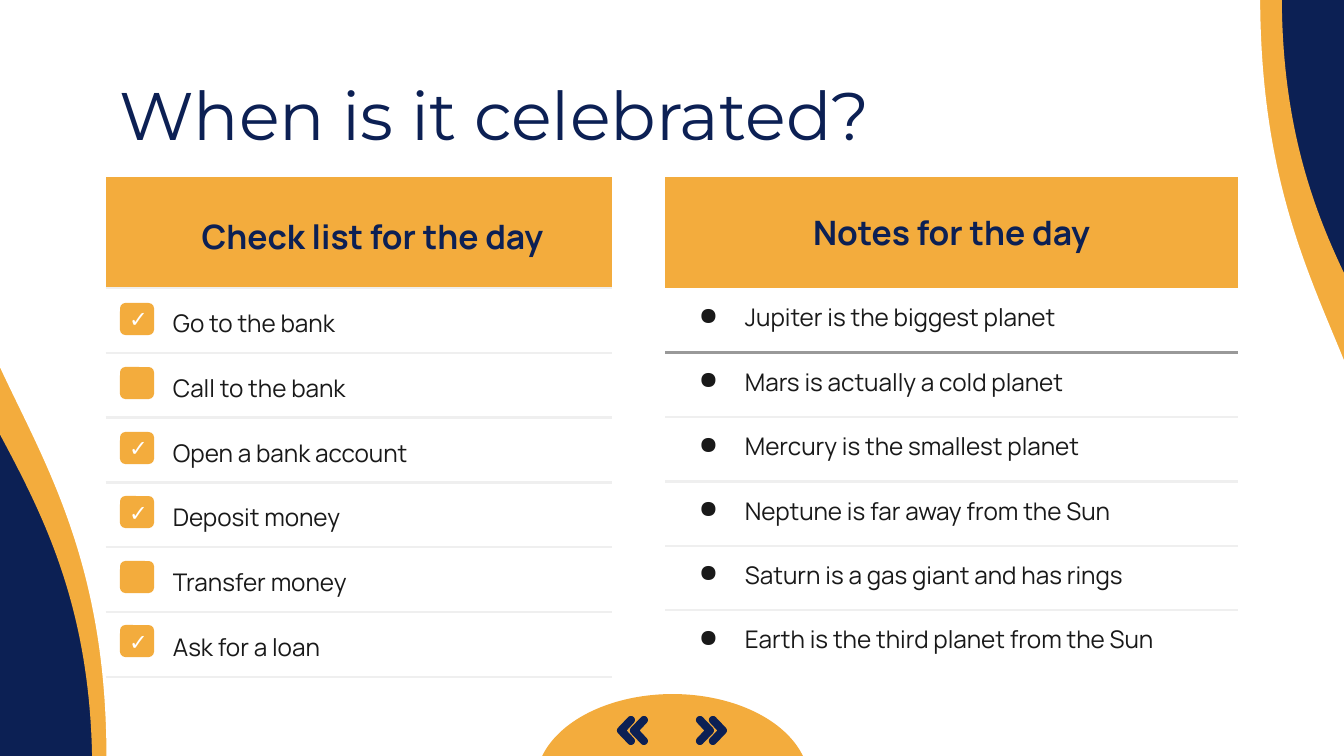
from math import cos, radians, sin

from lxml import etree
from pptx import Presentation
from pptx.dml.color import RGBColor
from pptx.enum.shapes import MSO_SHAPE
from pptx.enum.text import MSO_ANCHOR, MSO_AUTO_SIZE, PP_ALIGN
from pptx.oxml.ns import qn
from pptx.util import Pt

WAVE = MSO_SHAPE.FLOWCHART_DOCUMENT
ROUND = MSO_SHAPE.ROUNDED_RECTANGLE
PIE = MSO_SHAPE.PIE
MIDDLE, TOP = MSO_ANCHOR.MIDDLE, MSO_ANCHOR.TOP
LEFT, CENTER = PP_ALIGN.LEFT, PP_ALIGN.CENTER
NO_FIT = MSO_AUTO_SIZE.NONE

SCALE = 6803.57  # EMU per px
WIDE, HIGH = 1344, 756
PLAIN = "{2D5ABB26-0587-4C30-8999-92F81FD0307C}"  # table style without grid
COLORS = {"navy": "0C2054", "gold": "F3AC3D", "white": "FFFFFF",
          "ink": "191919", "pale": "EFEFEF", "gray": "999999"}


def emu(px):
    return round(px * SCALE)


def rgb(name):
    return RGBColor.from_string(COLORS[name])


class Deck:
    """Holds the style and the current slide."""

    def __init__(self):
        self.prs = Presentation()
        self.prs.slide_width, self.prs.slide_height = emu(WIDE), emu(HIGH)
        self.slide = self.prs.slides.add_slide(self.prs.slide_layouts[5])
        self.shapes = self.slide.shapes
        fill = self.slide.background.fill
        fill.solid()
        fill.fore_color.rgb = rgb("navy")

    def paint(self, shape, color):
        shape.shadow.inherit = False
        shape.fill.solid()
        shape.fill.fore_color.rgb = rgb(color)
        shape.line.fill.background()

    def shape(self, kind, box, color, turn=0):
        item = self.shapes.add_shape(kind, *map(emu, box))
        item.rotation = turn
        self.paint(item, color)
        return item

    def style(self, para, size, color, font, bold=False):
        for run in para.runs:
            run.font.size, run.font.name = Pt(size), font
            run.font.bold = bold
            run.font.color.rgb = rgb(color)

    def fit(self, item, pad):
        """Middle anchor, equal insets and no automatic sizing."""
        frame = item.text_frame
        frame.word_wrap, frame.auto_size = True, NO_FIT
        frame.vertical_anchor = MIDDLE
        frame.margin_left = frame.margin_right = emu(pad)
        frame.margin_top = frame.margin_bottom = emu(pad)
        return frame

    def title(self, text, box):
        item = self.shapes.title
        item.left, item.top, item.width, item.height = map(emu, box)
        frame = self.fit(item, 13)
        frame.text = text
        frame.paragraphs[0].alignment = LEFT
        self.style(frame.paragraphs[0], 36, "navy", "Montserrat")
        self.shapes._spTree.append(item._element)  # above the waves

    def tick(self, box):
        frame = self.fit(self.shapes.add_textbox(*map(emu, box)), 13)
        frame.text = "✓"
        self.style(frame.paragraphs[0], 12, "white", "Arial")

    def border(self, cell, side, color):
        line = etree.Element(qn("a:ln" + side), w=str(Pt(1.5)))
        fill = etree.SubElement(line, qn("a:solidFill"))
        etree.SubElement(fill, qn("a:srgbClr"), val=COLORS[color])
        cell._tc.get_or_add_tcPr().insert(0, line)

    def table(self, box, texts, cols, head, pads, lines, anchor, space=None,
              indent=(0, 0), bullet=None):
        """lines[i] is the color of the rule under row i, or None."""
        left, top, width, height = map(emu, box)
        count = len(texts)
        frame = self.shapes.add_table(count, cols, left, top, width, height)
        grid = frame.table
        grid.first_row = grid.horz_banding = False
        grid._tbl.tblPr.find(qn("a:tableStyleId")).text = PLAIN
        for col in grid.columns:
            col.width = width // cols
        for i, text in enumerate(texts):
            row = grid.rows[i]
            row.height = emu(head) if i == 0 else (height - emu(head)) // (count - 1)
            for cell in row.cells:
                if i:
                    cell.fill.background()
                else:
                    cell.fill.solid()
                    cell.fill.fore_color.rgb = rgb("gold")
                if lines[i]:
                    self.border(cell, "B", lines[i])
                if i and lines[i - 1]:
                    self.border(cell, "T", lines[i - 1])
            cell = grid.cell(i, 0)
            if cols > 1:
                cell.merge(grid.cell(i, cols - 1))
            cell.margin_left, cell.margin_top, cell.margin_right, cell.margin_bottom = map(emu, pads)
            cell.vertical_anchor = anchor if i else MIDDLE
            cell.text = text
            para = cell.text_frame.paragraphs[0]
            para.line_spacing = space
            if i:
                props = para._p.get_or_add_pPr()
                props.set("marL", str(emu(indent[0])))
                props.set("indent", str(emu(indent[1])))
                if bullet:
                    tint = etree.SubElement(props, qn("a:buClr"))
                    etree.SubElement(tint, qn("a:srgbClr"), val=COLORS["ink"])
                    etree.SubElement(props, qn("a:buChar"), char=bullet)
                self.style(para, 13, "ink", "Manrope")
            else:
                para.alignment = CENTER
                self.style(para, 18, "navy", "Manrope", True)

    def arrows(self, lefts, top, flip=False):
        """A group of round-ended chevrons; flip mirrors it on the slide."""
        group = self.shapes.add_group_shape()
        # Center and angle range of each round corner, then the inner notch
        arcs = ((4, 4, 135, 315), (14, 14.5, -45, 45), (4, 25, 45, 225))
        for left in lefts:
            dots = [(x + 4 * cos(radians(a)), y + 4 * sin(radians(a)))
                    for x, y, start, end in arcs
                    for a in range(start, end + 1, 15)]
            dots.append((8.34, 14.5))
            dots = [(emu(WIDE - left - x if flip else left + x), emu(top + y))
                    for x, y in dots]
            path = group.shapes.build_freeform(*dots[0], scale=1.0)
            path.add_line_segments(dots[1:], close=True)
            self.paint(path.convert_to_shape(), "navy")


def main():
    deck = Deck()

    # Waves at both sides
    deck.shape(WAVE, (-23, -51, 763, 882), "gold", 90)
    deck.shape(WAVE, (634, -65, 763, 882), "gold", 270)
    deck.shape(WAVE, (671, 32, 763, 688), "white", 270)
    deck.shape(WAVE, (-38, -55, 792, 833), "white", 90)

    deck.title("When is it celebrated?", (106, 78, 1133, 71))

    # Check list
    tasks = {"Go to the bank": True, "Call to the bank": False,
             "Open a bank account": True, "Deposit money": True,
             "Transfer money": False, "Ask for a loan": True}
    deck.table((106, 177, 506, 500), ["Check list for the day", *tasks], 2, 111,
               (27, 0, 0, 0), ["pale"] * 7, MIDDLE, 1.17, (40, 0))
    for i, done in enumerate(tasks.values()):
        y = 303 + round(64.4 * i)
        deck.shape(ROUND, (120, y, 34, 32), "gold")
        if done:
            deck.tick((116, y, 34, 32))

    # Notes
    notes = ["Notes for the day", "Jupiter is the biggest planet",
             "Mars is actually a cold planet", "Mercury is the smallest planet",
             "Neptune is far away from the Sun",
             "Saturn is a gas giant and has rings",
             "Earth is the third planet from the Sun"]
    deck.table((665, 177, 573, 498), notes, 1, 111, (13, 13, 13, 13),
               [None, "gray", *["pale"] * 4, None], TOP,
               indent=(67, -46), bullet="●")

    # Page arrows on a half disc
    disc = deck.shape(PIE, (536, 694, 273, 176), "gold", 180)
    disc.adjustments[0], disc.adjustments[1] = 0, 108.31
    disc._element.spPr.xfrm.set("flipH", "1")
    deck.arrows((696, 709), 716)
    deck.arrows((696, 709), 716, flip=True)

    deck.prs.save("out.pptx")


if __name__ == "__main__":
    main()
